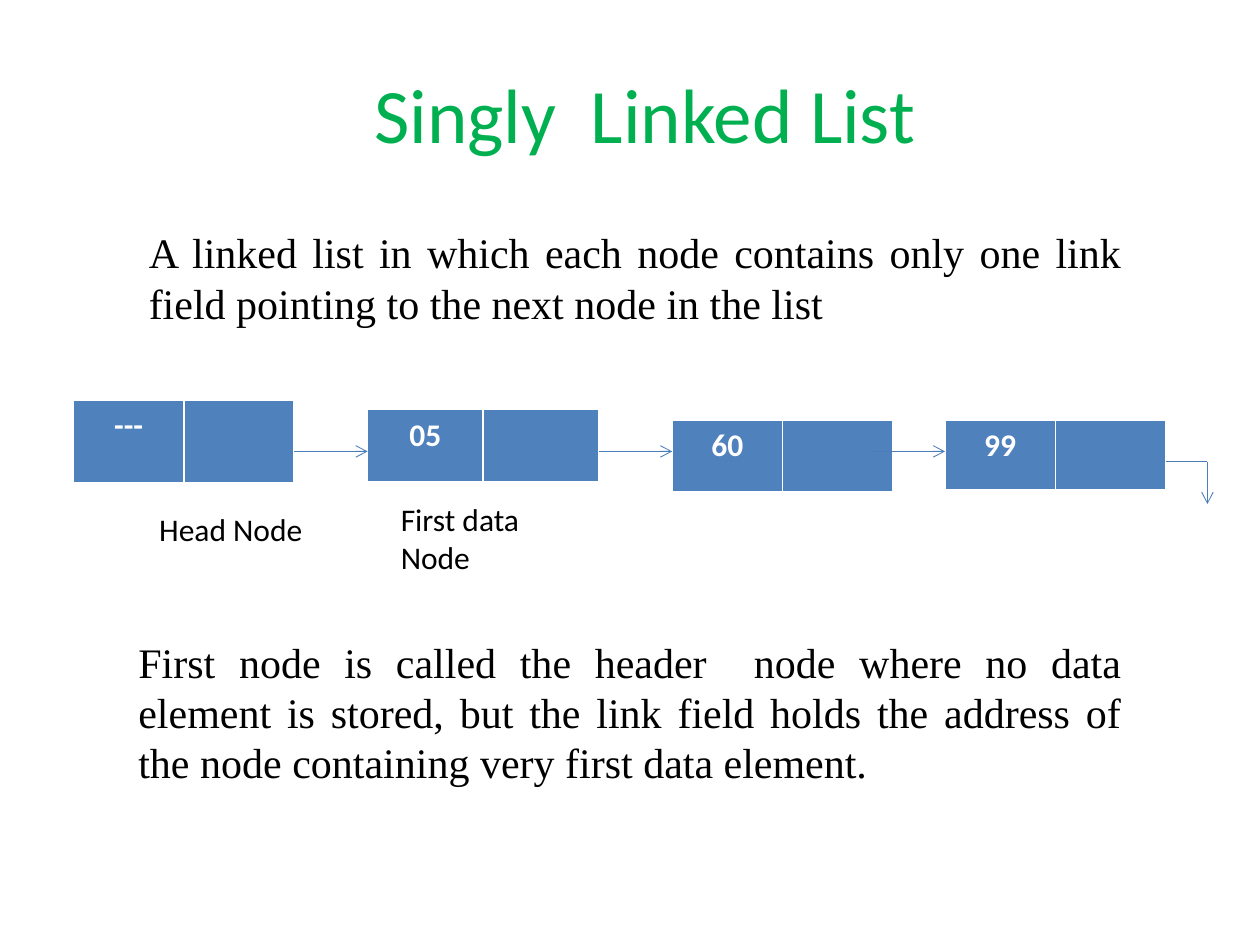
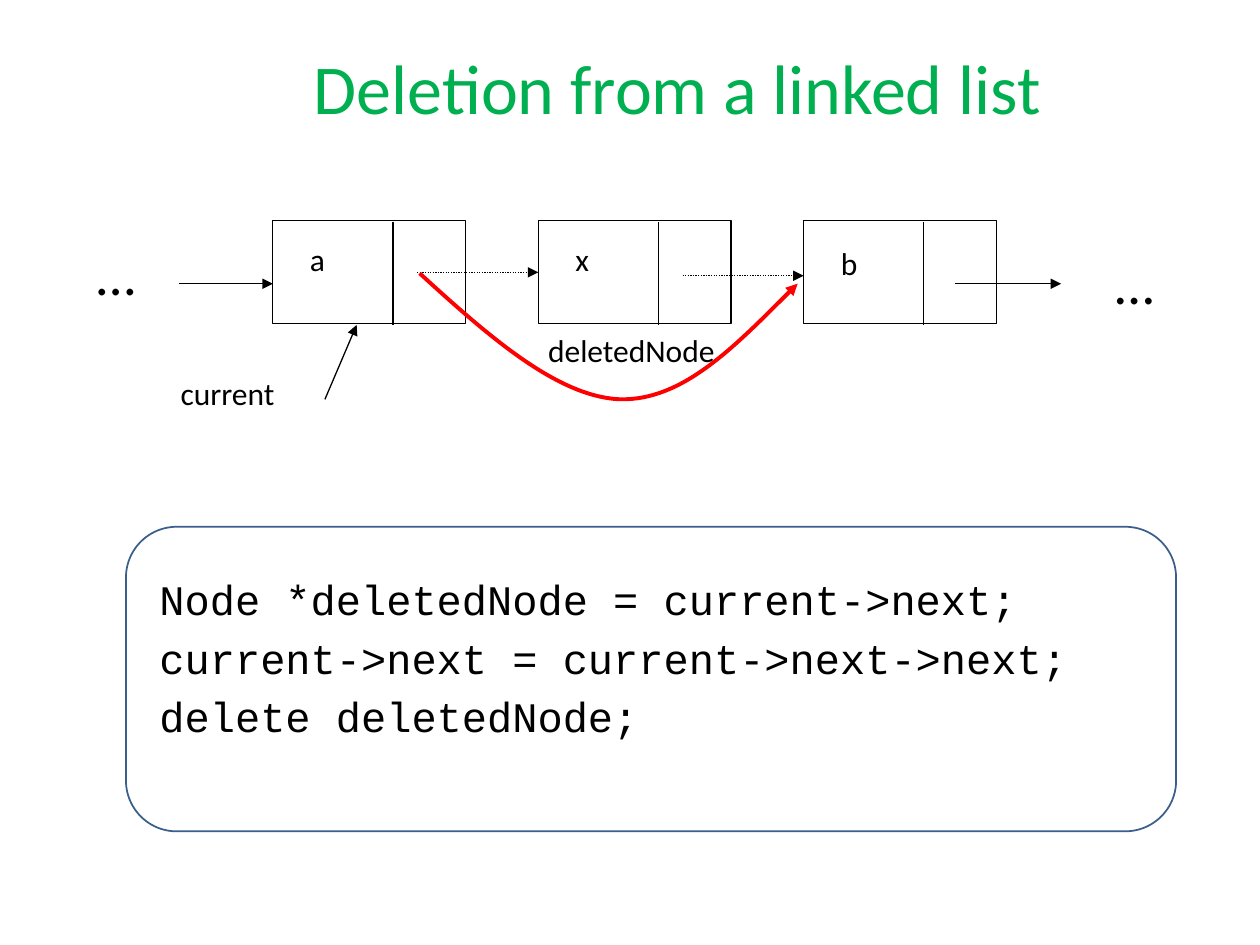
from typing import NamedTuple

from lxml import etree
from pptx import Presentation
from pptx.dml.color import RGBColor
from pptx.enum.dml import MSO_LINE
from pptx.enum.shapes import MSO_CONNECTOR, MSO_SHAPE
from pptx.enum.text import MSO_ANCHOR, MSO_AUTO_SIZE, PP_ALIGN
from pptx.oxml.ns import qn
from pptx.util import Cm, Pt

GREEN = RGBColor(0x00, 0xB0, 0x50)
BLACK = RGBColor(0x00, 0x00, 0x00)
WHITE = RGBColor(0xFF, 0xFF, 0xFF)
RED = RGBColor(0xFF, 0x00, 0x00)
BLUE = RGBColor(0x4F, 0x81, 0xBD)
LINK = RGBColor(0x4A, 0x7E, 0xBB)
FRAME = RGBColor(0x3A, 0x5F, 0x8B)

SANS, SERIF, MONO = "Calibri", "Times New Roman", "Courier New"
LEFT, CENTER, JUSTIFY = PP_ALIGN.LEFT, PP_ALIGN.CENTER, PP_ALIGN.JUSTIFY
MIDDLE, TOP = MSO_ANCHOR.MIDDLE, MSO_ANCHOR.TOP
NO_FIT = MSO_AUTO_SIZE.NONE
STRAIGHT = MSO_CONNECTOR.STRAIGHT
RECT, ROUND = MSO_SHAPE.RECTANGLE, MSO_SHAPE.ROUNDED_RECTANGLE
DOTTED = MSO_LINE.ROUND_DOT
TITLE_ONLY, TITLE_BODY = 5, 1


class Box(NamedTuple):
    """A place on the slide, in centimetres."""
    left: float
    top: float
    width: float
    height: float

    def cm(self) -> list:
        return [Cm(size) for size in self]


class Label(NamedTuple):
    text: str
    box: Box
    size: float = 18
    font: str = SANS
    align: PP_ALIGN = LEFT
    before: float = 0


class Wire(NamedTuple):
    start: tuple
    end: tuple
    color: RGBColor = BLACK
    width: float = 0.75
    head: str = ""
    dotted: bool = False


class Node(NamedTuple):
    text: str
    box: Box


def add_run(para, text: str, size: float, font: str = SANS,
            color: RGBColor = BLACK, bold: bool = False) -> None:
    run = para.add_run()
    run.text = text
    run.font.size, run.font.name = Pt(size), font
    run.font.color.rgb, run.font.bold = color, bold


def place(shape, box: Box) -> None:
    shape.left, shape.top, shape.width, shape.height = box.cm()


def set_title(slide, text: str, box: Box, size: float) -> None:
    title = slide.shapes.title
    place(title, box)
    frame = title.text_frame
    frame.auto_size, frame.vertical_anchor = NO_FIT, MIDDLE
    frame.paragraphs[0].alignment = CENTER
    add_run(frame.paragraphs[0], text, size, color=GREEN)


def add_label(slide, label: Label) -> None:
    frame = slide.shapes.add_textbox(*label.box.cm()).text_frame
    frame.word_wrap = True
    para = frame.paragraphs[0]
    para.alignment, para.space_before = label.align, Pt(label.before)
    add_run(para, label.text, label.size, label.font)


def set_head(shape, kind: str) -> None:
    """Put an arrowhead at the end of a line that has its style set."""
    line = shape.element.spPr.find(qn("a:ln"))
    etree.SubElement(line, qn("a:tailEnd"), type=kind)


def add_wire(slide, wire: Wire) -> None:
    ends = [Cm(size) for size in wire.start + wire.end]
    shape = slide.shapes.add_connector(STRAIGHT, *ends)
    shape.line.color.rgb, shape.line.width = wire.color, Pt(wire.width)
    if wire.dotted:
        shape.line.dash_style = DOTTED
    if wire.head:
        set_head(shape, wire.head)
    etree.SubElement(shape.element.spPr, qn("a:effectLst"))


def add_curve(slide, points: list, color: RGBColor, width: float) -> None:
    """Draw joined Bezier curves: a start, then three points for each curve."""
    start, *rest = [(Cm(x), Cm(y)) for x, y in points]
    maker = slide.shapes.build_freeform(*start)
    maker.add_line_segments(rest, close=False)
    shape = maker.convert_to_shape()
    shape.shadow.inherit = False
    shape.fill.background()
    shape.line.color.rgb, shape.line.width = color, Pt(width)
    set_head(shape, "triangle")
    steps = list(shape.element.iter(qn("a:lnTo")))
    for first in range(0, len(steps), 3):
        bend = etree.Element(qn("a:cubicBezTo"))
        steps[first].addprevious(bend)
        for step in steps[first:first + 3]:
            bend.append(step[0])
            step.getparent().remove(step)


def add_shape(slide, kind, box: Box, color: RGBColor, width: float):
    shape = slide.shapes.add_shape(kind, *box.cm())
    shape.shadow.inherit = False
    shape.line.color.rgb, shape.line.width = color, Pt(width)
    return shape


def edge_cell(cell) -> None:
    """Give a cell white borders, thickest at the bottom."""
    props = cell._tc.get_or_add_tcPr()
    for place_no, (side, width) in enumerate(
            (("L", 1), ("R", 1), ("T", 1), ("B", 3))):
        line = etree.Element(qn(f"a:ln{side}"), w=str(Pt(width)))
        fill = etree.SubElement(line, qn("a:solidFill"))
        etree.SubElement(fill, qn("a:srgbClr"), val=str(WHITE))
        props.insert(place_no, line)


def add_node(slide, node: Node) -> None:
    """Draw a table with a data cell and an empty link cell."""
    table = slide.shapes.add_table(1, 2, *node.box.cm()).table
    for cell, text in zip(table.rows[0].cells, (node.text, "")):
        cell.fill.solid()
        cell.fill.fore_color.rgb = BLUE
        edge_cell(cell)
        if text:
            para = cell.text_frame.paragraphs[0]
            para.alignment = CENTER
            add_run(para, text, 18, color=WHITE, bold=True)


def build_singly(deck) -> None:
    slide = deck.slides.add_slide(deck.slide_layouts[TITLE_ONLY])
    set_title(slide, "Singly  Linked List", Box(5.92, 1.3, 14.17, 1.96), 44)
    nodes = [
        Node("---", Box(1.48, 8.06, 4.45, 1.7)),
        Node("05", Box(7.41, 8.26, 4.66, 1.48)),
        Node("60", Box(13.55, 8.47, 4.45, 1.48)),
        Node("99", Box(19.05, 8.47, 4.45, 1.44)),
    ]
    for node in nodes:
        add_node(slide, node)
    gap, row = 1.48, 9.1
    for node in nodes[1:]:
        left = node.box.left
        add_wire(slide, Wire((left - gap, row), (left, row), LINK, 0.5, "arrow"))
    bend = (24.34, 9.31)
    add_wire(slide, Wire((23.5, 9.31), bend, LINK, 0.5))
    add_wire(slide, Wire(bend, (24.34, 10.16), LINK, 0.5, "arrow"))
    for label in (
        Label("Head Node", Box(2.96, 10.16, 3.81, 1.02)),
        Label("First data  Node", Box(7.83, 9.95, 3.81, 1.78)),
        Label("A linked list in which each node contains only one link field "
              "pointing to the next node in the list",
              Box(2.75, 4.45, 20.11, 2.29), 24, SERIF, JUSTIFY),
        Label("First node is called the header  node where no data element is "
              "stored, but the link field holds the address of the node "
              "containing very first data element.",
              Box(2.54, 12.7, 20.32, 3.3), 24, SERIF, JUSTIFY),
    ):
        add_label(slide, label)


def set_code(slide, lines: list, box: Box) -> None:
    body = slide.placeholders[1]
    place(body, box)
    frame = body.text_frame
    frame.auto_size, frame.vertical_anchor = NO_FIT, TOP
    for index, text in enumerate(lines):
        para = frame.add_paragraph() if index else frame.paragraphs[0]
        para.space_before = Pt(4.8)
        props = para._p.get_or_add_pPr()
        props.set("marL", str(Cm(0.95)))
        props.set("indent", str(Cm(-0.95)))
        etree.SubElement(props, qn("a:buNone"))
        add_run(para, text, 24, MONO)


def build_delete(deck) -> None:
    slide = deck.slides.add_slide(deck.slide_layouts[TITLE_BODY])
    set_title(slide, "Deletion from a linked list",
              Box(3.81, 0.76, 19.69, 1.96), 40)
    set_code(slide, ["Node *deletedNode = current->next;",
                     "current->next = current->next->next;",
                     "delete deletedNode;"], Box(2.96, 11.43, 20.11, 5.29))
    first, pitch, top, high = 5.5, 5.35, 4.45, 2.08
    for index, (text, text_top) in enumerate(
            (("a", 4.72), ("x", 4.72), ("b", 4.8))):
        left = first + index * pitch
        cell = add_shape(slide, RECT, Box(left, top, 3.89, high), BLACK, 0.75)
        cell.fill.solid()
        cell.fill.fore_color.rgb = WHITE
        split = left + 2.42
        add_wire(slide, Wire((split, top + 0.02), (split, top + high + 0.02)))
        add_label(slide, Label(text, Box(left + 0.5, text_top, 1.93, 1.55)))
    for index, row in enumerate((5.49, 5.56)):
        left = first + index * pitch
        add_wire(slide, Wire((left + 2.91, row), (left + pitch, row),
                             head="triangle", dotted=True))
    for start, end in (((3.61, 5.72), (first, 5.72)),
                       ((19.25, 5.72), (21.39, 5.72)),
                       ((6.55, 8.05), (7.19, 6.55))):
        add_wire(slide, Wire(start, end, head="triangle"))
    add_curve(slide, [(8.46, 5.51), (9.83, 6.76), (11.23, 8), (12.5, 8.05),
                      (13.77, 8.08), (14.91, 6.88), (16.08, 5.72)], RED, 2.25)
    for label in (
        Label("…", Box(1.7, 4.7, 2.11, 1.6), 32, before=16),
        Label("…", Box(22.23, 4.88, 2.11, 1.6), 32, before=16),
        Label("current", Box(3.39, 7.42, 3.81, 1.02), before=9),
        Label("deletedNode", Box(10.8, 6.55, 5.51, 1.02)),
    ):
        add_label(slide, label)
    frame = add_shape(slide, ROUND, Box(2.54, 10.62, 21.17, 6.14), FRAME, 1)
    frame.fill.background()


def main() -> None:
    deck = Presentation()
    deck.slide_width, deck.slide_height = Cm(25.4), Cm(19.05)
    build_singly(deck)
    build_delete(deck)
    deck.save("out.pptx")


if __name__ == "__main__":
    main()
